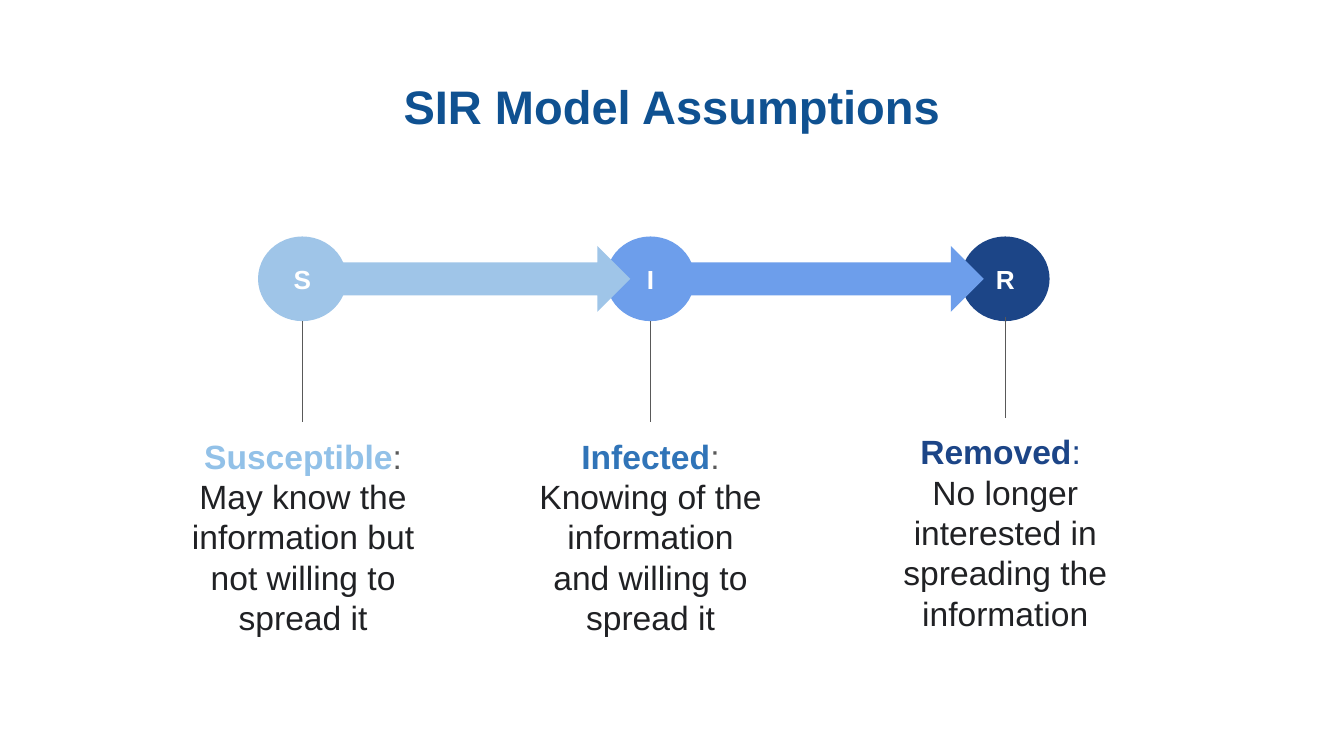
from pptx import Presentation
from pptx.dml.color import RGBColor
from pptx.enum import shapes, text
from pptx.oxml.ns import qn
from pptx.util import Inches, Pt
from lxml import etree

FONT = "Arial"
SHAPE = shapes.MSO_SHAPE
TOP, WIDE, HIGH = 1.76, 0.66, 0.63  # row of circles

# letter, circle centre, circle fill, stem top, note box, heading, heading
# colour, colon colour, whether the note starts a new paragraph, note
STAGES = [
    ("I", 4.84, "6D9EEB", 2.39, (3.9, 3.14, 1.88, 1.88), "Infected",
     "3074B8", "595959", False,
     "Knowing of the information and willing to spread it"),
    ("R", 7.48, "1C4587", 2.36, (6.51, 3.11, 1.94, 1.82), "Removed",
     "1C4587", "1C4587", True,
     "No longer interested in spreading the information"),
    ("S", 2.25, "9FC5E8", 2.39, (1.23, 3.14, 2.05, 2.15), "Susceptible",
     "92C1E8", "595959", False,
     "May know the information but not willing to spread it"),
]
ARROWS = [(2.32, "9FC5E8"), (4.95, "6D9EEB")]


def rgb(code):
    return RGBColor.from_string(code)


def style(font, size, color, bold=False):
    font.name, font.size, font.bold = FONT, Pt(size), bold
    font.color.rgb = rgb(color)


def add_box(slide, box):
    frame = slide.shapes.add_textbox(*map(Inches, box)).text_frame
    frame.word_wrap = True
    frame.margin_top = frame.margin_bottom = Inches(0.1)
    frame.paragraphs[0].alignment = text.PP_ALIGN.CENTER
    return frame


def add_shape(slide, kind, box, color):
    shape = slide.shapes.add_shape(kind, *map(Inches, box))
    shape.shadow.inherit = False
    shape.fill.solid()
    shape.fill.fore_color.rgb = rgb(color)
    shape.line.fill.background()
    return shape


def add_title(slide, box):
    para = add_box(slide, box).paragraphs[0]
    para.text = "SIR Model Assumptions"
    style(para.font, 25.2, "0F5191", True)


def add_node(slide, letter, mid, color):
    box = (mid - WIDE / 2, TOP, WIDE, HIGH)
    frame = add_shape(slide, SHAPE.OVAL, box, color).text_frame
    frame.vertical_anchor = text.MSO_ANCHOR.MIDDLE
    para = frame.paragraphs[0]
    para.text = letter
    para.alignment = text.PP_ALIGN.CENTER
    style(para.font, 14, "FFFFFF", True)


def add_stem(slide, x, top, end):
    line = slide.shapes.add_connector(
        shapes.MSO_CONNECTOR.STRAIGHT, *map(Inches, (x, top, x, end)))
    line.line.color.rgb = rgb("595959")
    line.line.width = Pt(0.75)
    etree.SubElement(line._element.spPr, qn("a:effectLst"))


def add_note(slide, box, head, color, colon, split, note):
    frame = add_box(slide, box)
    para = frame.paragraphs[0]
    parts = [(head, color, True), (": ", colon, False), (note, "202124", False)]
    for words, shade, bold in parts:
        if split and words == note:
            para = frame.add_paragraph()
            para.alignment = text.PP_ALIGN.CENTER
        run = para.add_run()
        run.text = words
        style(run.font, 18, shade, bold)


def add_stage(slide, letter, mid, fill, top, box, *note):
    add_node(slide, letter, mid, fill)
    add_note(slide, box, *note)
    add_stem(slide, mid, top, box[1])


def main():
    deck = Presentation()
    deck.slide_width, deck.slide_height = Inches(10), Inches(10 * 9 / 16)
    slide = deck.slides.add_slide(deck.slide_layouts[6])
    add_title(slide, (2.87, 0.48, 4.26, 0.63))
    for stage in STAGES:
        add_stage(slide, *stage)
    for left, color in ARROWS:
        add_shape(slide, SHAPE.RIGHT_ARROW, (left, 1.83, 2.37, 0.49), color)
    deck.save("out.pptx")


if __name__ == "__main__":
    main()
